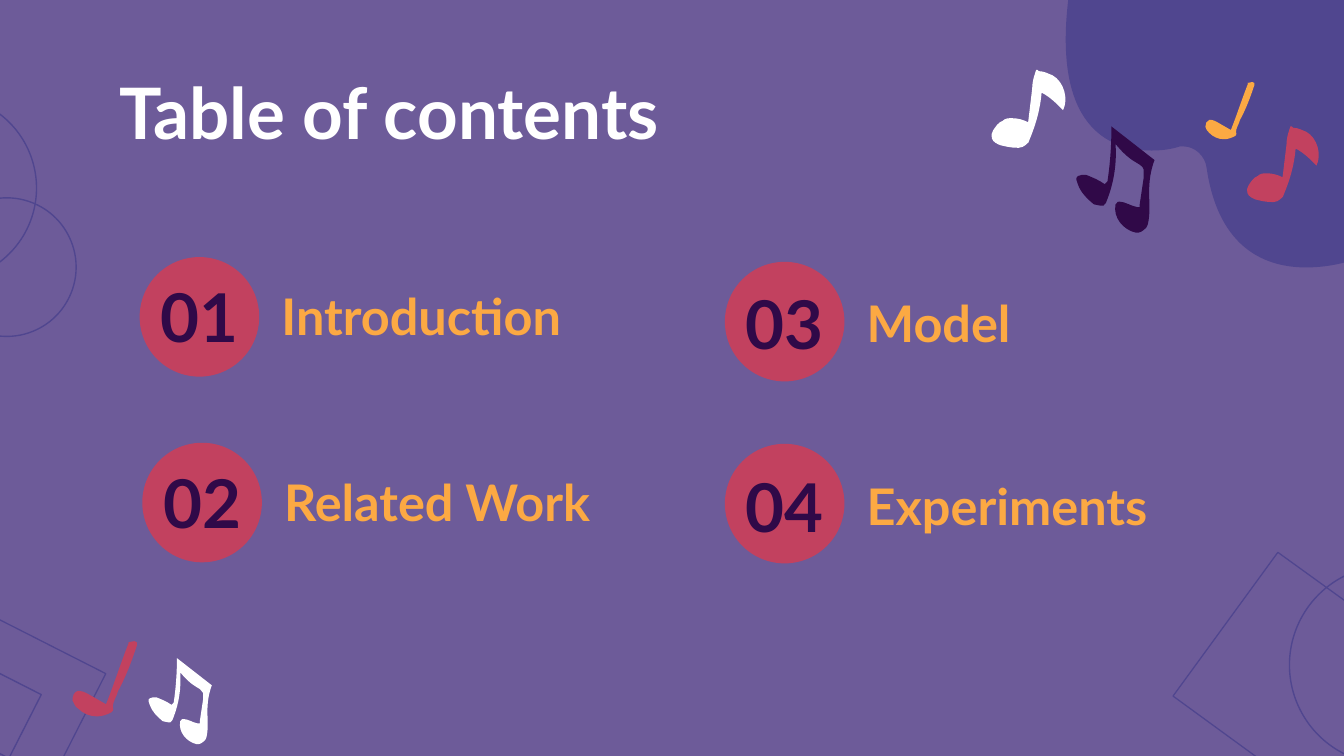
"""Build a table of contents slide decorated with music notes."""
from lxml import etree
from pptx import Presentation
from pptx.dml.color import RGBColor
from pptx.enum.shapes import MSO_SHAPE as Preset
from pptx.enum.text import MSO_ANCHOR as Anchor, PP_ALIGN as Align
from pptx.oxml.ns import qn
from pptx.util import Cm, Pt

COLORS = {
    "background": "6D5B99",
    "indigo": "50468F",
    "red": "C2415F",
    "plum": "300948",
    "orange": "FCA943",
    "white": "FFFFFF",
}
UNIT = 0.0254

deck = Presentation()
deck.slide_width, deck.slide_height = Cm(25.4), Cm(14.29)
slide = deck.slides.add_slide(deck.slide_layouts[6])
shapes = slide.shapes
slide.background.fill.solid()
slide.background.fill.fore_color.rgb = RGBColor.from_string(COLORS["background"])


def write(text, left, top, width, height, size, color, align=Align.LEFT, anchor=Anchor.MIDDLE):
    frame = shapes.add_textbox(Cm(left), Cm(top), Cm(width), Cm(height)).text_frame
    frame.word_wrap = True
    frame.vertical_anchor = anchor
    frame.margin_left = frame.margin_right = Cm(0.25)
    frame.margin_top = frame.margin_bottom = Cm(0.25)
    paragraph = frame.paragraphs[0]
    paragraph.alignment = align
    run = paragraph.add_run()
    run.text = text
    run.font.name, run.font.size, run.font.bold = "Lato", Pt(size), True
    run.font.color.rgb = RGBColor.from_string(COLORS[color])


def draw(outline, left, top, scale=1, fill=None, line_width=0.75):
    if outline == "circle":
        shape = shapes.add_shape(Preset.OVAL, Cm(left), Cm(top), Cm(scale), Cm(scale))
    else:
        spots = [
            (Cm(left + x * UNIT * scale), Cm(top + y * UNIT * scale))
            for step in outline
            for x, y in zip(step[::2], step[1::2])
        ]
        builder = shapes.build_freeform(*spots[0])
        builder.add_line_segments(spots[1:], close=True)
        shape = builder.convert_to_shape()
        segments = iter(shape.element.xpath(".//a:lnTo"))
        for step in outline[1:]:
            first = next(segments)
            if len(step) == 6:
                curve = etree.Element(qn("a:cubicBezTo"))
                first.addprevious(curve)
                for segment in (first, next(segments), next(segments)):
                    curve.append(segment[0])
                    segment.getparent().remove(segment)
    shape.shadow.inherit = False
    if fill:
        shape.fill.solid()
        shape.fill.fore_color.rgb = RGBColor.from_string(COLORS[fill])
        shape.line.fill.background()
    else:
        shape.fill.background()
        shape.line.color.rgb = RGBColor.from_string(COLORS["indigo"])
        shape.line.width = Pt(line_width)


blob = [
    (11, 0), (0, 93, 40, 112, 73, 112), (81, 112, 88, 111, 94, 109),
    (95, 109, 96, 109, 97, 109), (105, 109, 113, 116, 114, 125),
    (123, 187, 160, 199, 188, 199), (207, 199, 221, 194, 221, 194), (224, 0),
]
steep_square = [(78, 0), (0, 107), (107, 185), (186, 78)]
tilted_square = [(63, 0), (187, 63), (124, 187), (0, 123)]
quarter_note = [
    (46, 0), (41, 1), (42, 1), (36, 16, 31, 32, 25, 47), (11, 39),
    (9, 38, 7, 37, 5, 37), (4, 37), (1, 38, 0, 41, 0, 44), (1, 46, 2, 49, 4, 50),
    (8, 54, 13, 56, 18, 56), (22, 56, 25, 55, 29, 53), (29, 53, 30, 52, 30, 52),
    (30, 51, 31, 50, 30, 49), (30, 45, 33, 41, 34, 37), (40, 26, 44, 15, 48, 3),
    (48, 2, 48, 1, 48, 1), (47, 0, 47, 0, 46, 0),
]
eighth_note = [
    (35, 0), (34, 0), (33, 1, 33, 2, 33, 3), (32, 6, 31, 10, 31, 14), (28, 39),
    (24, 37, 20, 36, 16, 36), (13, 36, 11, 36, 9, 38), (6, 39, 4, 42, 2, 45),
    (1, 47, 0, 49, 1, 51), (2, 54, 5, 55, 7, 56), (11, 57, 15, 58, 20, 58), (21, 58),
    (23, 58, 25, 57, 26, 56), (28, 55, 29, 53, 29, 52), (34, 40, 37, 29, 38, 17),
    (44, 20, 49, 25, 54, 30), (58, 22, 55, 9, 46, 4), (43, 3, 40, 1, 36, 1),
]
beamed_notes = [
    (27, 0), (27, 14, 26, 28, 24, 41), (22, 43), (18, 40, 13, 38, 8, 36), (5, 36),
    (4, 36, 3, 36, 2, 37), (0, 38, 1, 41, 2, 43), (4, 49, 9, 54, 14, 58),
    (16, 58, 17, 59, 19, 59), (21, 59), (23, 58, 23, 56, 24, 54),
    (29, 41, 31, 27, 30, 13), (34, 18, 39, 23, 44, 26), (47, 28, 50, 29, 51, 32),
    (51, 34, 51, 36, 51, 38), (48, 58), (48, 59, 48, 59, 48, 60), (46, 60),
    (41, 59, 37, 56, 33, 56), (32, 56, 31, 56, 31, 57), (30, 57, 30, 58, 30, 58),
    (28, 68, 36, 77, 45, 79), (45, 79, 46, 79, 47, 79), (48, 79, 50, 78, 51, 77),
    (53, 76, 53, 75, 54, 73), (56, 65, 55, 57, 55, 49), (55, 41, 56, 33, 59, 25),
]

draw(blob, 19.91, 0, fill="indigo")
for left, top, diameter in [(-2.82, 1.8, 3.51), (-1.18, 3.74, 2.62), (24.37, 10.69, 3.76)]:
    draw("circle", left, top, diameter)
draw(steep_square, 22.17, 10.44, line_width=0.69)
draw(tilted_square, -3.97, 11.53)
draw(tilted_square, -1.04, 11.71, 0.64, line_width=0.69)

write("Table of contents", 2, 1.04, 21.44, 1.75, 38, "white", anchor=Anchor.TOP)

sections = [
    ("01", "Introduction", 2.64, 4.86, 0.25),
    ("02", "Related Work", 2.69, 8.37, 0.25),
    ("03", "Model", 13.7, 4.95, 0.28),
    ("04", "Experiments", 13.7, 8.39, 0.3),
]
for number, heading, left, top, drop in sections:
    draw("circle", left, top, 2.26, fill="red")
    write(number, left - 0.05, top + drop, 2.36, 1.73, 36, "plum", align=Align.CENTER)
    write(heading, left + 2.43, top + drop + 0.27, 7.52, 1.17, 27, "orange")

notes = [
    (beamed_notes, 2.79, 12.44, 0.81, "white"),
    (quarter_note, 1.37, 12.12, 1, "red"),
    (eighth_note, 18.72, 1.32, 1, "white"),
    (eighth_note, 23.55, 2.39, 0.97, "red"),
    (beamed_notes, 20.32, 2.39, 1, "plum"),
    (quarter_note, 22.78, 1.55, 0.76, "orange"),
]
for note, left, top, scale, color in notes:
    draw(note, left, top, scale, fill=color)

deck.save("out.pptx")
